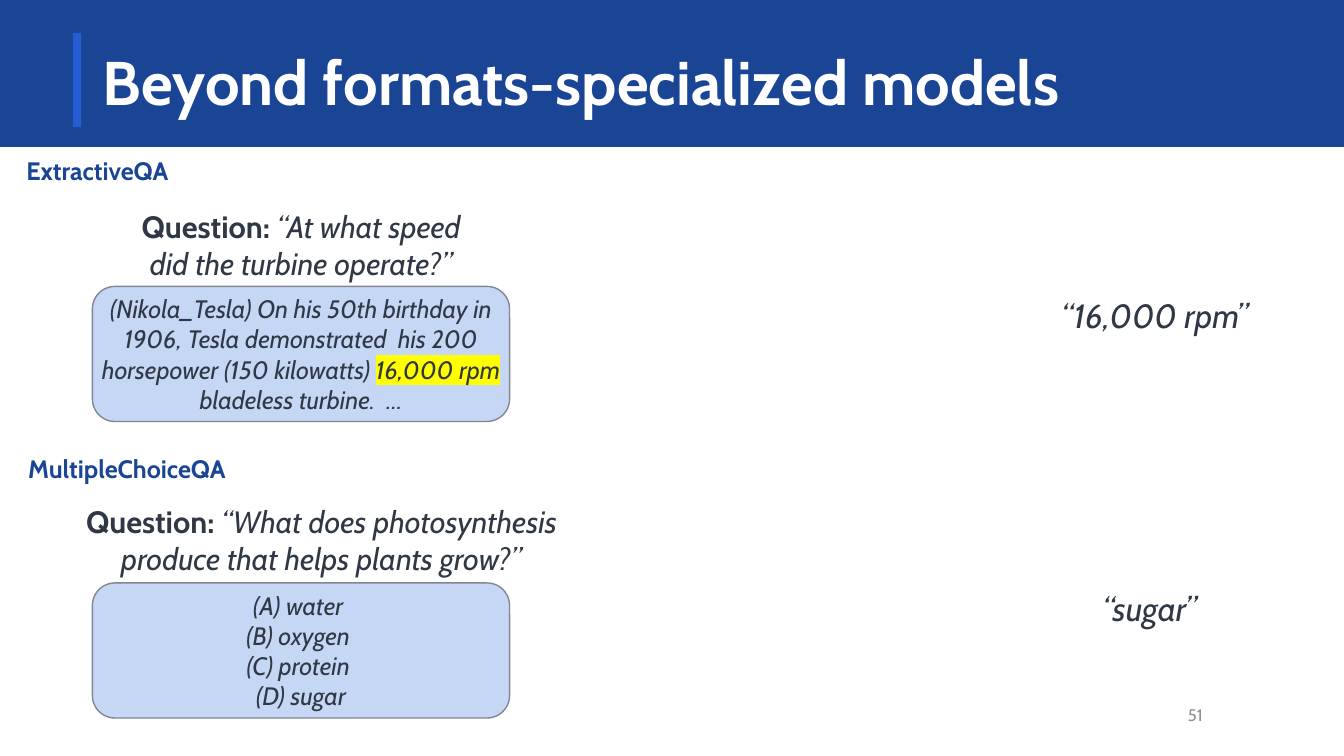
from lxml import etree
from pptx import Presentation
from pptx import util as u
from pptx.dml import color
from pptx.enum import shapes, text
from pptx.oxml import ns

COLORS = {"navy": "1A4595", "accent": "255ED3", "accent_line": "1B469C",
          "white": "FFFFFF", "ink": "303845", "card": "C6D6F5",
          "card_line": "818790", "marker": "FFFF00", "number": "8F9194"}
CENTER, LEFT, RIGHT = text.PP_ALIGN.CENTER, text.PP_ALIGN.LEFT, text.PP_ALIGN.RIGHT

deck = Presentation()
deck.slide_width, deck.slide_height = u.Pt(960), u.Pt(540)
page = deck.slides.add_slide(deck.slide_layouts[5])


def add_panel(kind, place, fill, line):
    panel = page.shapes.add_shape(kind, *map(u.Pt, place))
    panel.shadow.inherit = False
    panel.fill.solid()
    panel.fill.fore_color.rgb = color.RGBColor.from_string(COLORS[fill])
    panel.line.color.rgb = color.RGBColor.from_string(COLORS[line])
    panel.line.width = u.Pt(1)
    return panel


def write(box, spans, size, ink="ink", align=CENTER):
    """Fill a box with one paragraph; each span is (words, styles)."""
    para = box.text_frame.paragraphs[0]
    para.alignment = align
    for words, styles in spans:
        for index, line in enumerate(words.split("\n")):
            if index:
                para.add_line_break()
            span = para.add_run()
            span.text = line
            span.font.name, span.font.size = "Cabin", u.Pt(size)
            span.font.bold, span.font.italic = "b" in styles, "i" in styles
            span.font.color.rgb = color.RGBColor.from_string(COLORS[ink])
            if "h" in styles:
                fill = span.font._element.find(ns.qn("a:solidFill"))
                highlight = etree.Element(ns.qn("a:highlight"))
                etree.SubElement(highlight, ns.qn("a:srgbClr"), val=COLORS["marker"])
                fill.addnext(highlight)


# Header band with the title in front of it
add_panel(shapes.MSO_SHAPE.RECTANGLE, (0, 0, 960, 104.4), "navy", "navy")
add_panel(shapes.MSO_SHAPE.RECTANGLE, (52, 23.3, 6.2, 68), "accent", "accent_line")
title = page.shapes.title
page.shapes._spTree.append(title._element)
title.left, title.top, title.width, title.height = map(u.Pt, (66.3, 23, 828, 75.6))
title.text_frame.vertical_anchor = text.MSO_ANCHOR.MIDDLE
write(title, [("Beyond formats-specialized models", "b")], 44, "white", LEFT)
title.text_frame.paragraphs[0].line_spacing = 0.9

# Text boxes: place, spans, size, colour, alignment, wrapping
labels = [
    ((11.7, 107.5, 120, 29), [("ExtractiveQA", "b")], 18, "navy", LEFT, False),
    ((13, 320, 158, 29), [("MultipleChoiceQA", "b")], 18, "navy", LEFT, False),
    ((82, 144.7, 266.4, 60.5),
     [("Question: ", "b"), ("“At what speed did the turbine operate?”", "i")],
     22, "ink", CENTER, True),
    ((49.7, 355.3, 360, 60.5),
     [("Question: ", "b"),
      ("“What does photosynthesis produce that helps plants grow?”", "i")],
     22, "ink", CENTER, True),
    ((747.4, 206.9, 154.8, 36), [("“16,000 rpm”", "i")], 24, "ink", CENTER, True),
    ((743.8, 416.3, 154.8, 36), [("“sugar”", "i")], 24, "ink", CENTER, True),
    ((824.4, 496, 41.8, 28.8), [("51", "")], 12, "number", RIGHT, True),
]
for place, spans, size, ink, align, wrap in labels:
    box = page.shapes.add_textbox(*map(u.Pt, place))
    box.text_frame.word_wrap = wrap
    write(box, spans, size, ink, align)
box.text_frame.vertical_anchor = text.MSO_ANCHOR.MIDDLE  # page number

# Context cards
cards = [
    (204.6, [("(Nikola_Tesla) On his 50th birthday in 1906, Tesla demonstrated  his 200 "
              "horsepower (150 kilowatts) ", "i"),
             ("16,000 rpm", "ih"), (" bladeless turbine.  …", "i")]),
    (416.4, [("(A) water \n(B) oxygen \n(C) protein \n(D) sugar", "i")]),
]
for top, spans in cards:
    card = add_panel(shapes.MSO_SHAPE.FLOWCHART_ALTERNATE_PROCESS,
                     (66, top, 298, 96.5), "card", "card_line")
    frame = card.text_frame
    frame.margin_left = frame.margin_right = frame.margin_top = frame.margin_bottom = 0
    frame.word_wrap = True
    frame.vertical_anchor = text.MSO_ANCHOR.MIDDLE
    write(card, spans, 18)

deck.save("out.pptx")
